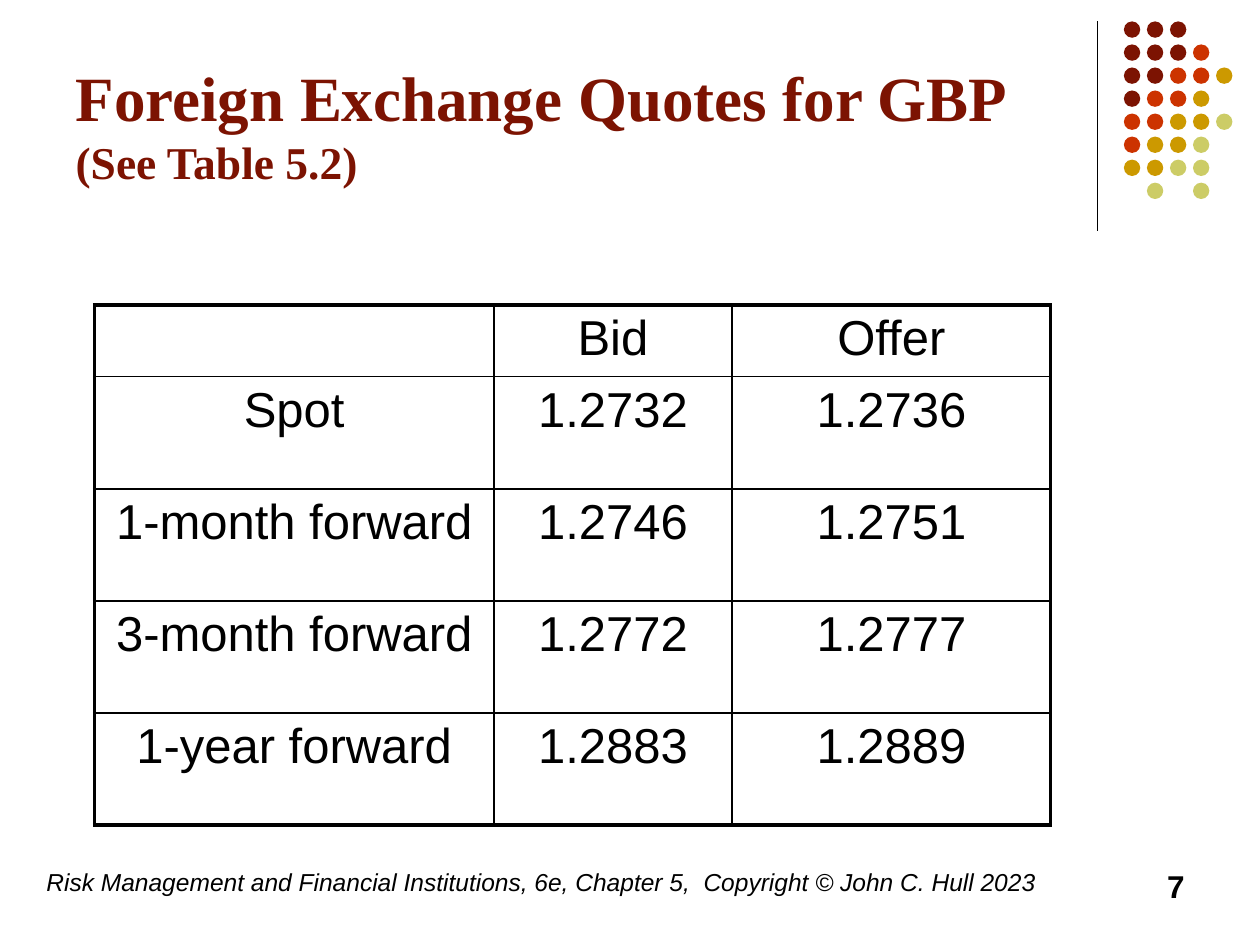
from dataclasses import dataclass

from lxml.etree import SubElement
from pptx import Presentation
from pptx.dml.color import RGBColor
from pptx.enum.shapes import MSO_CONNECTOR as Connector, MSO_SHAPE as Preset
from pptx.enum.text import MSO_ANCHOR as Anchor, MSO_AUTO_SIZE as AutoSize, PP_ALIGN as Align
from pptx.oxml.ns import qn
from pptx.util import Inches, Pt


@dataclass(frozen=True)
class Theme:
    heading_font: str = "Times New Roman"
    body_font: str = "Arial"
    black: str = "000000"
    maroon: str = "7C1302"
    red: str = "CC3300"
    gold: str = "CC9900"
    olive: str = "CCCC66"
    title_size: float = 36
    subtitle_size: float = 26
    table_size: float = 28
    footer_size: float = 14
    number_size: float = 18
    thin: float = 1
    thick: float = 2.25
    rule: float = 0.75


class SlideBuilder:
    def __init__(self, slide, theme):
        self.slide = slide
        self.theme = theme

    def style(self, run, size, color, font, bold=False, italic=False):
        run.font.size = Pt(size)
        run.font.name = font
        run.font.bold = bold
        run.font.italic = italic
        run.font.color.rgb = RGBColor.from_string(color)

    def title(self, heading, reference, box):
        theme = self.theme
        shape = self.slide.shapes.title
        shape.left, shape.top, shape.width, shape.height = map(Inches, box)
        frame = shape.text_frame
        frame.auto_size = AutoSize.NONE
        frame.word_wrap = True
        frame.vertical_anchor = Anchor.BOTTOM
        frame.text = heading
        paragraph = frame.paragraphs[0]
        paragraph.alignment = Align.LEFT
        paragraph.add_run().text = reference
        for run, size in zip(paragraph.runs, (theme.title_size, theme.subtitle_size)):
            self.style(run, size, theme.maroon, theme.heading_font, bold=True)

    def text(self, text, box, size, align=Align.LEFT, bold=False, italic=False):
        frame = self.slide.shapes.add_textbox(*map(Inches, box)).text_frame
        frame.word_wrap = True
        frame.text = text
        paragraph = frame.paragraphs[0]
        paragraph.alignment = align
        self.style(paragraph.runs[0], size, self.theme.black, self.theme.body_font, bold, italic)

    def line(self, start, end):
        connector = self.slide.shapes.add_connector(
            Connector.STRAIGHT, *map(Inches, (*start, *end)))
        connector.line.width = Pt(self.theme.rule)
        connector.line.color.rgb = RGBColor.from_string(self.theme.black)
        SubElement(connector._element.spPr, qn("a:effectLst"))

    def dot(self, left, top, diameter, color):
        shape = self.slide.shapes.add_shape(
            Preset.OVAL, *map(Inches, (left, top, diameter, diameter)))
        shape.shadow.inherit = False
        shape.fill.solid()
        shape.fill.fore_color.rgb = RGBColor.from_string(color)
        shape.line.fill.background()

    def dot_grid(self, pattern, colors, left, top, pitch, diameter):
        for row, marks in enumerate(pattern):
            for column, mark in enumerate(marks):
                if mark in colors:
                    self.dot(left + column * pitch, top + row * pitch, diameter, colors[mark])

    def borders(self, cell, thick_sides):
        properties = cell._tc.get_or_add_tcPr()
        for side in "LRTB":
            width = self.theme.thick if side in thick_sides else self.theme.thin
            border = SubElement(properties, qn(f"a:ln{side}"), w=str(Pt(width)))
            fill = SubElement(border, qn("a:solidFill"))
            SubElement(fill, qn("a:srgbClr"), val=self.theme.black)

    def table(self, rows, left, top, widths, heights):
        box = map(Inches, (left, top, sum(widths), sum(heights)))
        table = self.slide.shapes.add_table(len(rows), len(widths), *box).table
        table.first_row = table.horz_banding = False
        for column, width in zip(table.columns, widths):
            column.width = Inches(width)
        for row, height in zip(table.rows, heights):
            row.height = Inches(height)
        last_row, last_column = len(rows) - 1, len(widths) - 1
        for r, values in enumerate(rows):
            for c, value in enumerate(values):
                cell = table.cell(r, c)
                edges = {"L": c == 0, "R": c == last_column, "T": r == 0, "B": r == last_row}
                self.borders(cell, [side for side, outer in edges.items() if outer])
                cell.fill.background()
                cell.text = value
                paragraph = cell.text_frame.paragraphs[0]
                paragraph.alignment = Align.CENTER
                for run in paragraph.runs:
                    self.style(run, self.theme.table_size, self.theme.black, self.theme.body_font)


def main():
    theme = Theme()
    presentation = Presentation()
    presentation.slide_width, presentation.slide_height = Inches(10), Inches(7.5)
    slide = presentation.slides.add_slide(presentation.slide_layouts[5])
    builder = SlideBuilder(slide, theme)

    builder.line((8.71, 0.17), (8.71, 1.83))
    colors = {"M": theme.maroon, "R": theme.red, "G": theme.gold, "O": theme.olive}
    pattern = ["MMM", "MMMR", "MMRRG", "MRRG", "RRGGO", "RGGO", "GGOO", " O O"]
    builder.dot_grid(pattern, colors, left=8.92, top=0.17, pitch=1.28 / 7, diameter=0.13)

    builder.title("Foreign Exchange Quotes for GBP ", "(See Table 5.2)", (0.5, 0.13, 8.25, 1.42))
    builder.text(
        "Risk Management and Financial Institutions, 6e, Chapter 5,  Copyright © John C. Hull 2023",
        (0.27, 6.83, 8.27, 0.5), theme.footer_size, italic=True)
    builder.text("7", (7.17, 6.83, 2.33, 0.5), theme.number_size, Align.RIGHT, bold=True)

    quotes = [
        ("", "Bid", "Offer"),
        ("Spot", "1.2732", "1.2736"),
        ("1-month forward", "1.2746", "1.2751"),
        ("3-month forward", "1.2772", "1.2777"),
        ("1-year forward", "1.2883", "1.2889"),
    ]
    builder.table(quotes, 0.75, 2.42, widths=[3.17, 1.89, 2.53], heights=[0.57] + [0.89] * 4)
    presentation.save("out.pptx")


if __name__ == "__main__":
    main()
